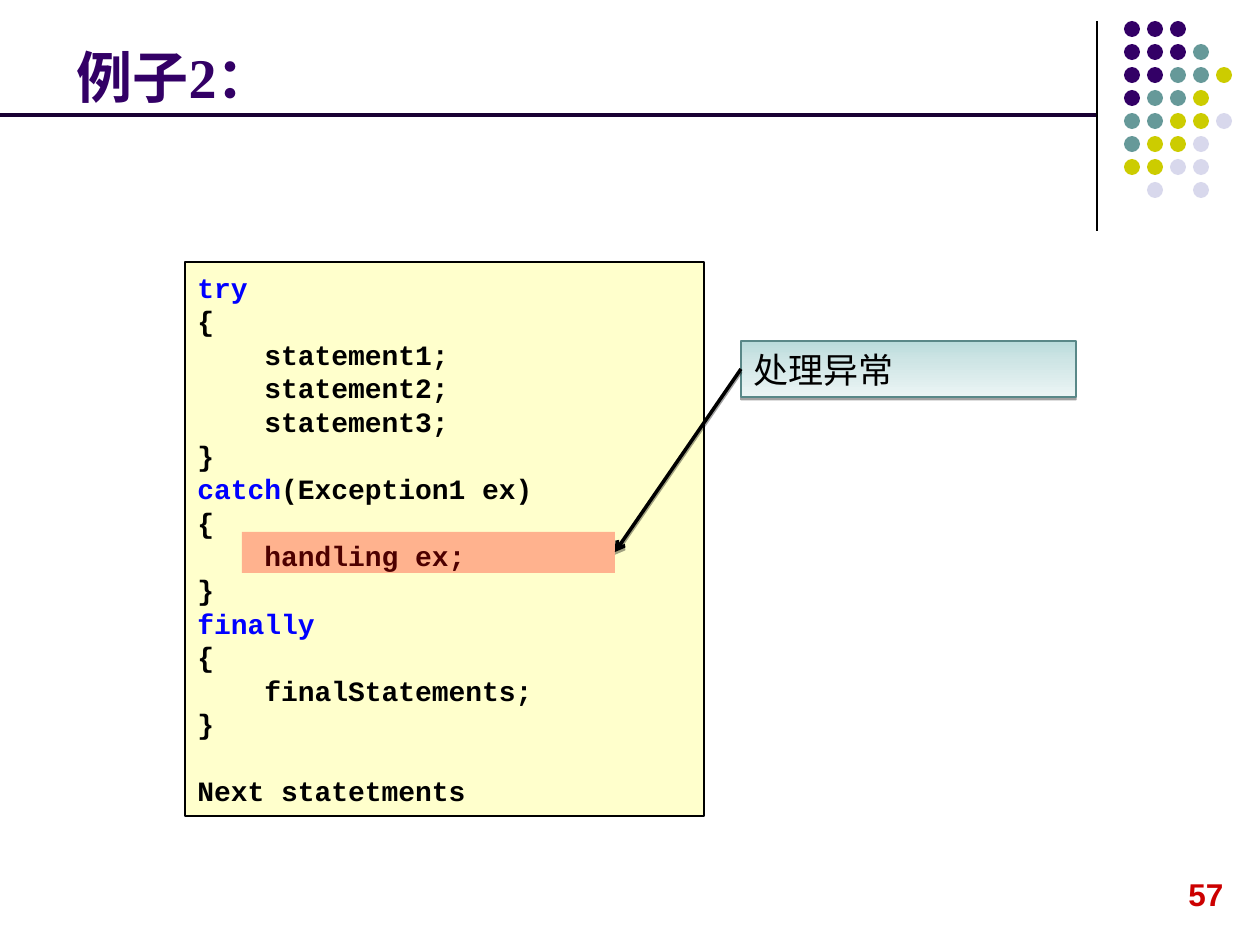
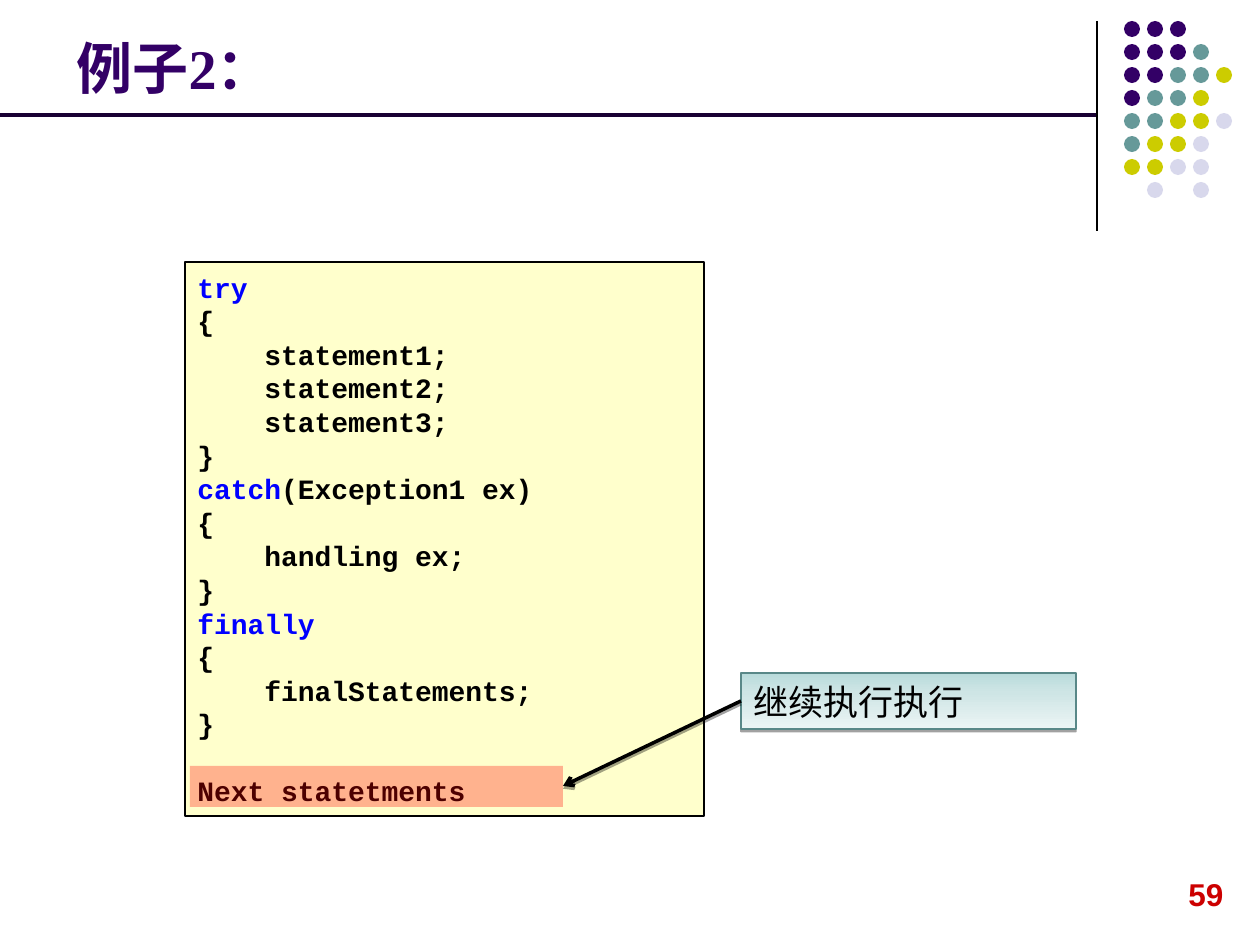
"""Build two slides that walk through a try/catch/finally example."""
import lxml.etree
import pptx
import pptx.dml.color
import pptx.enum.shapes
import pptx.enum.text
import pptx.oxml
import pptx.oxml.ns
import pptx.util

PX = 7257
SHAPES = pptx.enum.shapes.MSO_SHAPE
ANCHOR = pptx.enum.text.MSO_ANCHOR
colour = pptx.dml.color.RGBColor.from_string
NAMESPACE = pptx.oxml.ns.nsdecls("a")

BLACK, PURPLE, RULE = "000000", "330066", "190033"
KEYWORD, CODE_FILL, HIGHLIGHT = "0000FF", "FFFFCC", "FF0000"
LABEL_LINE, PAGE_NUMBER = "598888", "CC0000"
CJK_FONT = "Noto Sans CJK SC"
DOT_COLOURS = {"P": PURPLE, "T": "669999", "Y": "CCCC00", "L": "D8D8EC"}
DOT_ROWS = ["PPP", "PPPT", "PPTTY", "PTTY", "TTYYL", "TYYL", "YYLL", " L L"]
GRADIENT_STOPS = [(0, "B9DBDB"), (35, "CEE5E5"), (100, "ECF5F5")]
SHADOW = (
    f'<a:effectLst {NAMESPACE}><a:outerShdw blurRad="0" dist="20320" dir="5400000" rotWithShape="0">'
    '<a:srgbClr val="000000"><a:alpha val="37000"/></a:srgbClr></a:outerShdw></a:effectLst>'
)
NO_SHADOW = f"<a:effectLst {NAMESPACE}/>"
CODE = """try
{
    statement1;
    statement2;
    statement3;
}
catch(Exception1 ex)
{
    handling ex;
}
finally
{
    finalStatements;
}
Next statetments"""

STEPS = [
    {"page": "57", "title_bottom": 116, "highlight": (242, 532),
     "label": "处理异常", "label_top": 341},
    {"page": "59", "title_bottom": 107, "highlight": (190, 766),
     "label": "继续执行执行", "label_top": 673},
]


def set_font(run, name, size, hex_colour, bold=True):
    run.font.name = name
    run.font.size = pptx.util.Pt(size)
    run.font.bold = bold
    run.font.color.rgb = colour(hex_colour)
    east_asian = pptx.oxml.ns.qn("a:ea")
    lxml.etree.SubElement(run._r.get_or_add_rPr(), east_asian, typeface=CJK_FONT)


def add_shape(slide, kind, box, fill=None, line=None):
    shape = slide.shapes.add_shape(kind, *[length * PX for length in box])
    shape.shadow.inherit = False
    if fill:
        shape.fill.solid()
        shape.fill.fore_color.rgb = colour(fill)
    if line:
        shape.line.color.rgb = colour(line)
        shape.line.width = pptx.util.Pt(0.75)
    else:
        shape.line.fill.background()
    return shape


presentation = pptx.Presentation()
presentation.slide_width = 1260 * PX
presentation.slide_height = 945 * PX

for step in STEPS:
    slide = presentation.slides.add_slide(presentation.slide_layouts[6])

    for row, letters in enumerate(DOT_ROWS):
        for column, letter in enumerate(letters):
            if letter in DOT_COLOURS:
                box = (1124 + 23 * column, 21 + 23 * row, 16, 16)
                add_shape(slide, SHAPES.OVAL, box, DOT_COLOURS[letter])

    title_height = step["title_bottom"] - 26
    for text, box, wrap, anchor, font in [
        (step["page"], (1176, 869, 60, 50), False, ANCHOR.TOP, ("Arial", 18, PAGE_NUMBER)),
        ("例子2：", (64, 26, 1036, title_height), True, ANCHOR.BOTTOM,
         ("Times New Roman", 32, PURPLE)),
    ]:
        text_frame = slide.shapes.add_textbox(*[length * PX for length in box]).text_frame
        text_frame.word_wrap = wrap
        text_frame.vertical_anchor = anchor
        text_frame.text = text
        set_font(text_frame.paragraphs[0].runs[0], *font)

    code_box = add_shape(slide, SHAPES.RECTANGLE, (185, 262, 519, 554), CODE_FILL, BLACK)
    text_frame = code_box.text_frame
    text_frame.word_wrap = False
    text_frame.vertical_anchor = ANCHOR.MIDDLE
    text_frame.text = CODE
    for paragraph in text_frame.paragraphs:
        paragraph.alignment = pptx.enum.text.PP_ALIGN.LEFT
        paragraph.line_spacing = pptx.util.Pt(19.2)
        line_text = paragraph.text
        for keyword in ("try", "catch", "finally"):
            if line_text.startswith(keyword):
                paragraph.text = keyword
                if line_text != keyword:
                    paragraph.add_run().text = line_text[len(keyword):]
        for run in paragraph.runs:
            is_keyword = run.text in ("try", "catch", "finally")
            set_font(run, "Courier New", 16, KEYWORD if is_keyword else BLACK)
    text_frame.paragraphs[-1].space_before = pptx.util.Pt(19.2)

    left, top = step["highlight"]
    highlight = add_shape(slide, SHAPES.RECTANGLE, (left, top, 373, 41), HIGHLIGHT)
    fill_colour = highlight.element.spPr.xpath("./a:solidFill/a:srgbClr")[0]
    lxml.etree.SubElement(fill_colour, pptx.oxml.ns.qn("a:alpha"), val="30000")

    label_box = (741, step["label_top"], 335, 56)
    label = add_shape(slide, SHAPES.RECTANGLE, label_box, line=LABEL_LINE)
    stops = "".join(
        f'<a:gs pos="{position * 1000}"><a:srgbClr val="{stop}"/></a:gs>'
        for position, stop in GRADIENT_STOPS
    )
    properties = label.element.spPr
    properties.insert(2, pptx.oxml.parse_xml(
        f'<a:gradFill {NAMESPACE} rotWithShape="1"><a:gsLst>{stops}</a:gsLst>'
        '<a:lin ang="5400000" scaled="0"/></a:gradFill>'))
    properties.replace(properties.xpath("./a:effectLst")[0], pptx.oxml.parse_xml(SHADOW))
    text_frame = label.text_frame
    text_frame.word_wrap = True
    text_frame.margin_top = text_frame.margin_bottom = 0
    text_frame.vertical_anchor = ANCHOR.MIDDLE
    text_frame.text = step["label"]
    text_frame.paragraphs[0].alignment = pptx.enum.text.PP_ALIGN.LEFT
    set_font(text_frame.paragraphs[0].runs[0], CJK_FONT, 20, BLACK, bold=False)

    arrow_ends = (741, step["label_top"] + 28, left + 373, top + 20)
    for ends, hex_colour, width, is_arrow in [
        ((1097, 21, 1097, 231), BLACK, 0.75, False),
        (arrow_ends, BLACK, 2, True),
        ((0, 115, 1096, 115), RULE, 2.25, False),
    ]:
        connector = slide.shapes.add_connector(
            pptx.enum.shapes.MSO_CONNECTOR.STRAIGHT, *[length * PX for length in ends])
        connector.line.color.rgb = colour(hex_colour)
        connector.line.width = pptx.util.Pt(width)
        if is_arrow:
            line_element = connector.line._get_or_add_ln()
            lxml.etree.SubElement(line_element, pptx.oxml.ns.qn("a:tailEnd"), type="arrow")
        effects = pptx.oxml.parse_xml(SHADOW if is_arrow else NO_SHADOW)
        connector.element.spPr.append(effects)

presentation.save("out.pptx")
